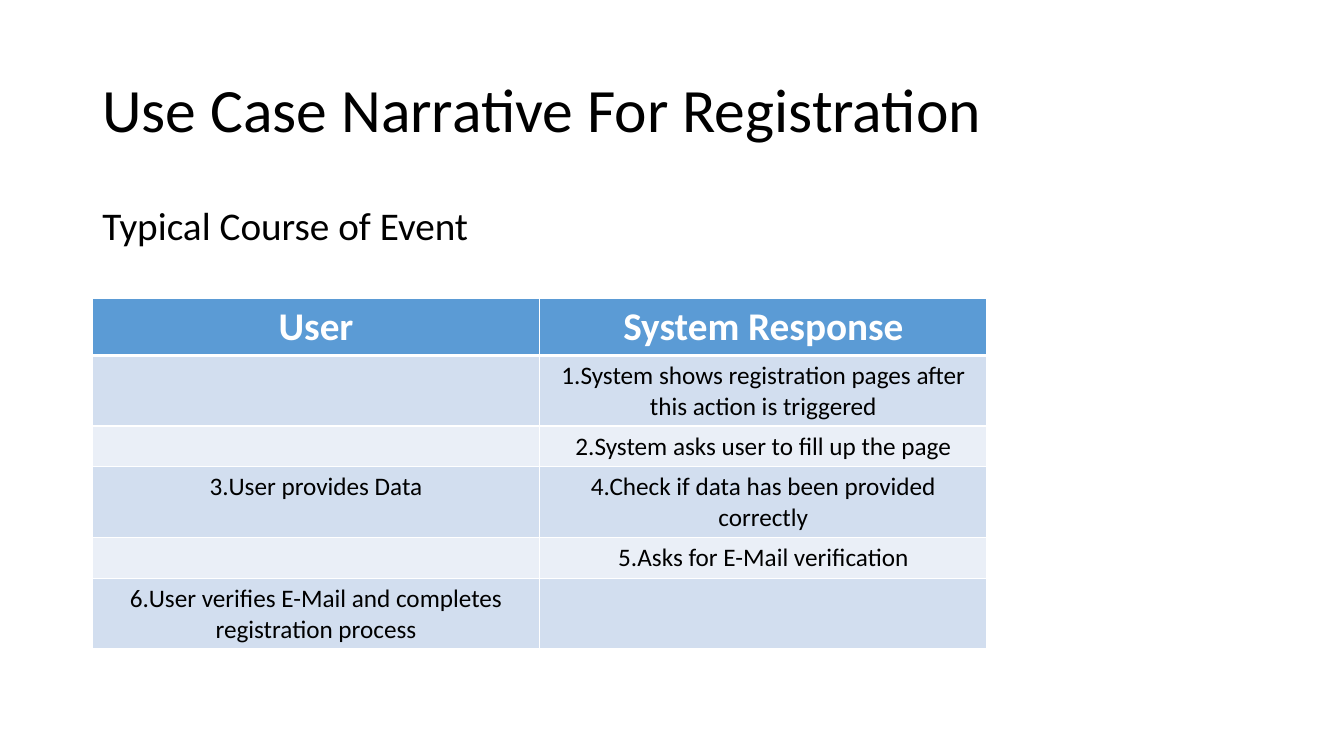
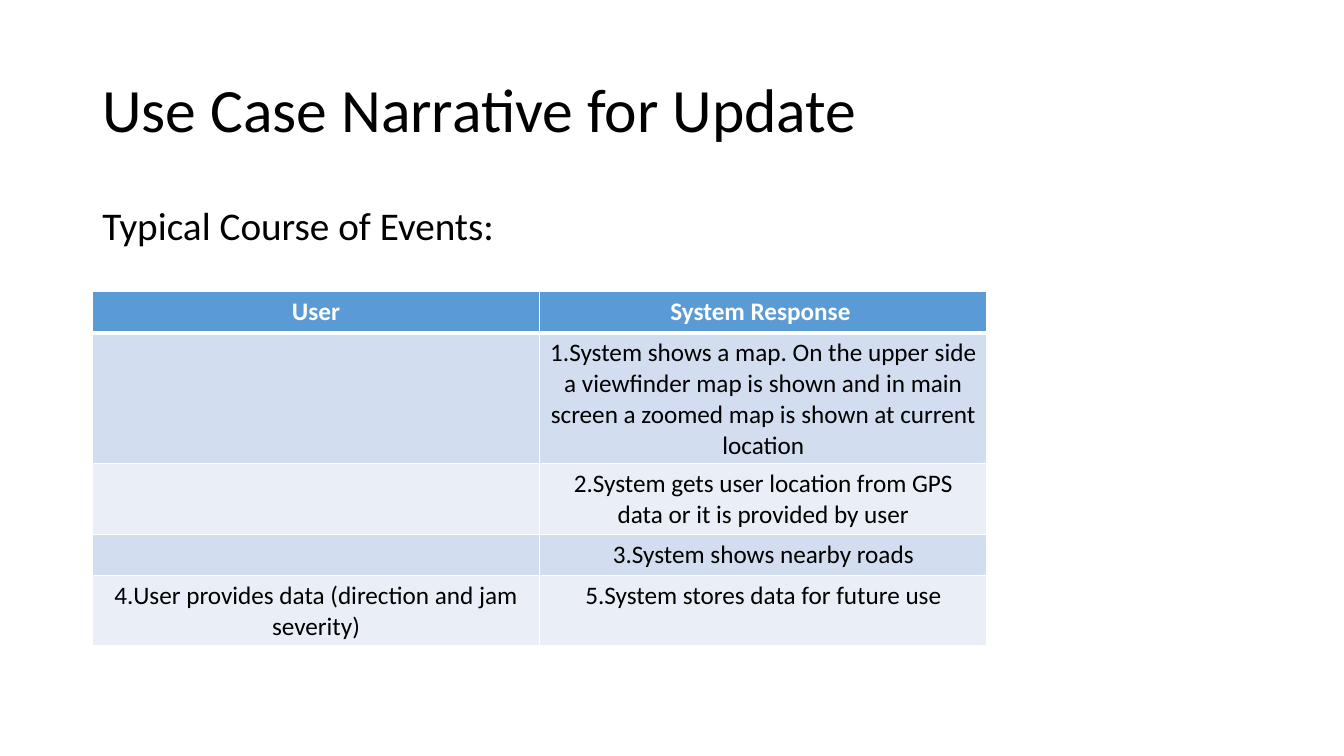
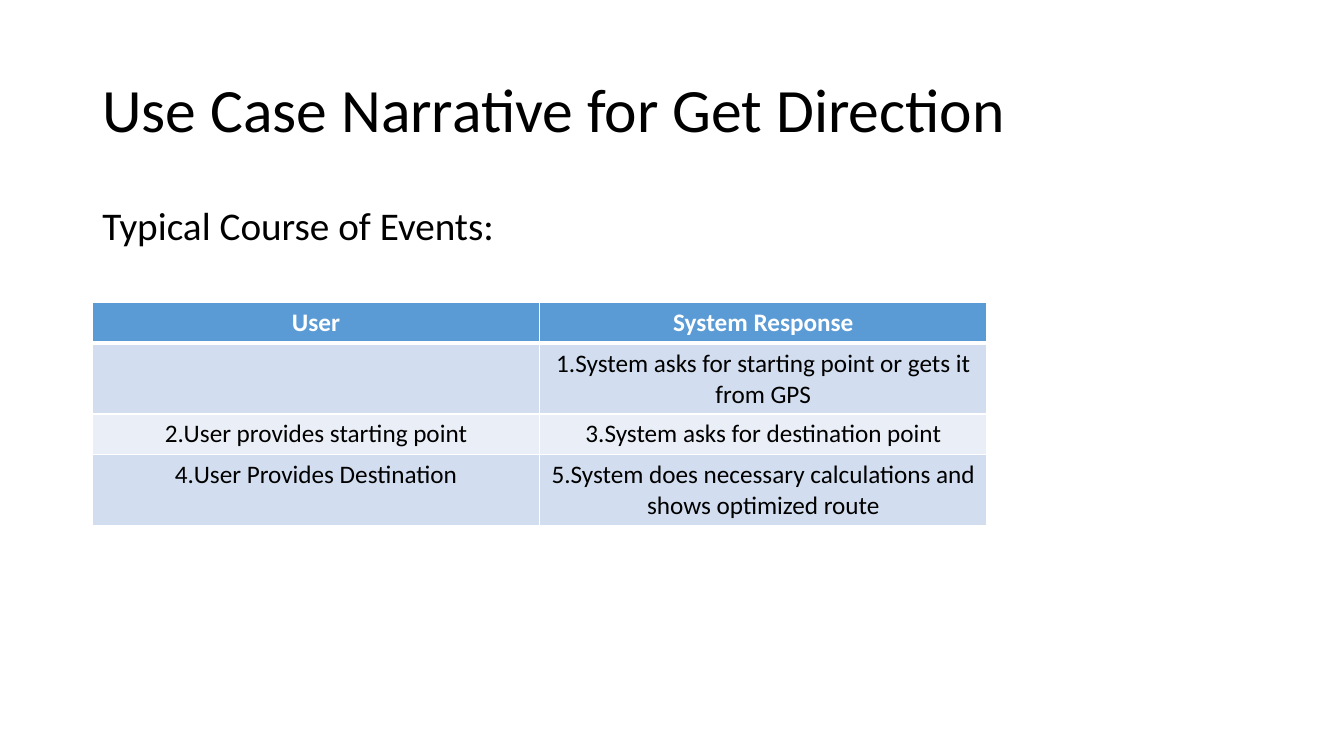
from lxml import etree
from pptx import Presentation
from pptx import util as u
from pptx.dml.color import RGBColor
from pptx.enum import text
from pptx.oxml import ns

PX = 9525
LEFT = 88
TEXT_WIDTH = 1104
COLUMN_WIDTH = 426
ROW_HEIGHT = 39
BLACK, WHITE = "000000", "FFFFFF"
HEADER_FILL = "5B9BD5"
BAND_FILLS = ("D2DEEF", "EAEFF7")
TEXT_LINES = {"line_spacing": 0.9}
CENTRED = {"alignment": text.PP_ALIGN.CENTER}

USE_CASES = [
    {
        "title": "Use Case Narrative For Registration",
        "subtitle": "Typical Course of Event",
        "top": 284,
        "header_size": 28,
        "rows": [
            ("User", "System Response"),
            ("", "1.System shows registration pages after this action is triggered"),
            ("", "2.System asks user to fill up the page"),
            ("3.User provides Data", "4.Check if data has been provided correctly"),
            ("", "5.Asks for E-Mail verification"),
            ("6.User verifies E-Mail and completes registration process", ""),
        ],
    },
    {
        "title": "Use Case Narrative for Update",
        "subtitle": "Typical Course of Events:",
        "top": 278,
        "header_size": 18,
        "rows": [
            ("User", "System Response "),
            ("", "1.System shows a map. On the upper side a viewfinder map is shown "
                 "and in main screen a zoomed map is shown at current location"),
            ("", "2.System gets user location from GPS data or it is provided by user"),
            ("", "3.System shows nearby roads"),
            ("4.User provides data (direction and jam severity)",
             "5.System stores data for future use"),
        ],
    },
    {
        "title": "Use Case Narrative for Get Direction",
        "subtitle": "Typical Course of Events:",
        "top": 288,
        "header_size": 18,
        "rows": [
            ("User", "System Response"),
            ("", "1.System asks for starting point or gets it from GPS"),
            ("2.User provides starting point", "3.System asks for destination point"),
            ("4.User Provides Destination",
             "5.System does necessary calculations and shows optimized route"),
        ],
    },
]


def px(*lengths):
    return [u.Emu(length * PX) for length in lengths]


def color(value):
    return RGBColor.from_string(value)


def set_all(target, values):
    for name, value in values.items():
        setattr(target, name, value)


def write(frame, words, para_format, size, ink=BLACK, bold=False):
    para = frame.paragraphs[0]
    set_all(para, para_format)
    if words:
        span = para.add_run()
        span.text = words
        set_all(span.font, {"name": "Calibri", "size": u.Pt(size), "bold": bold})
        span.font.color.rgb = color(ink)


def add_text(page, top, height, words, para_format, size, anchor):
    box = page.shapes.add_textbox(*px(LEFT, top, TEXT_WIDTH, height))
    set_all(box.text_frame, {"word_wrap": True, "vertical_anchor": anchor})
    write(box.text_frame, words, para_format, size)


def add_borders(cell, top, bottom):
    """Draw white borders; top and bottom are widths in points."""
    properties = cell._tc.get_or_add_tcPr()
    widths = {"lnL": 1, "lnR": 1, "lnT": top, "lnB": bottom}
    for index, (side, width) in enumerate(widths.items()):
        line = etree.Element(ns.qn(f"a:{side}"), w=str(u.Pt(width)))
        fill = etree.SubElement(line, ns.qn("a:solidFill"))
        etree.SubElement(fill, ns.qn("a:srgbClr"), val=WHITE)
        properties.insert(index, line)


def add_event_table(page, top, rows, header_size):
    columns = len(rows[0])
    frame = page.shapes.add_table(
        len(rows), columns,
        *px(LEFT, top, columns * COLUMN_WIDTH, len(rows) * ROW_HEIGHT))
    for row, entries in enumerate(rows):
        header = row == 0
        fill = HEADER_FILL if header else BAND_FILLS[(row - 1) % 2]
        size, ink = (header_size, WHITE) if header else (18, BLACK)
        for column, words in enumerate(entries):
            cell = frame.table.cell(row, column)
            cell.fill.solid()
            cell.fill.fore_color.rgb = color(fill)
            add_borders(cell, top=3 if row == 1 else 1, bottom=3 if header else 1)
            write(cell.text_frame, words, CENTRED, size, ink, header)


def add_use_case(deck, case):
    page = deck.slides.add_slide(deck.slide_layouts[6])
    add_text(page, 38, 139, case["title"], TEXT_LINES, 44, text.MSO_ANCHOR.MIDDLE)
    add_text(page, 192, 457, case["subtitle"],
             {**TEXT_LINES, "space_before": u.Pt(10)}, 28, text.MSO_ANCHOR.TOP)
    add_event_table(page, case["top"], case["rows"], case["header_size"])


def main():
    deck = Presentation()
    deck.slide_width, deck.slide_height = px(1280, 720)
    for case in USE_CASES:
        add_use_case(deck, case)
    deck.save("out.pptx")


if __name__ == "__main__":
    main()
